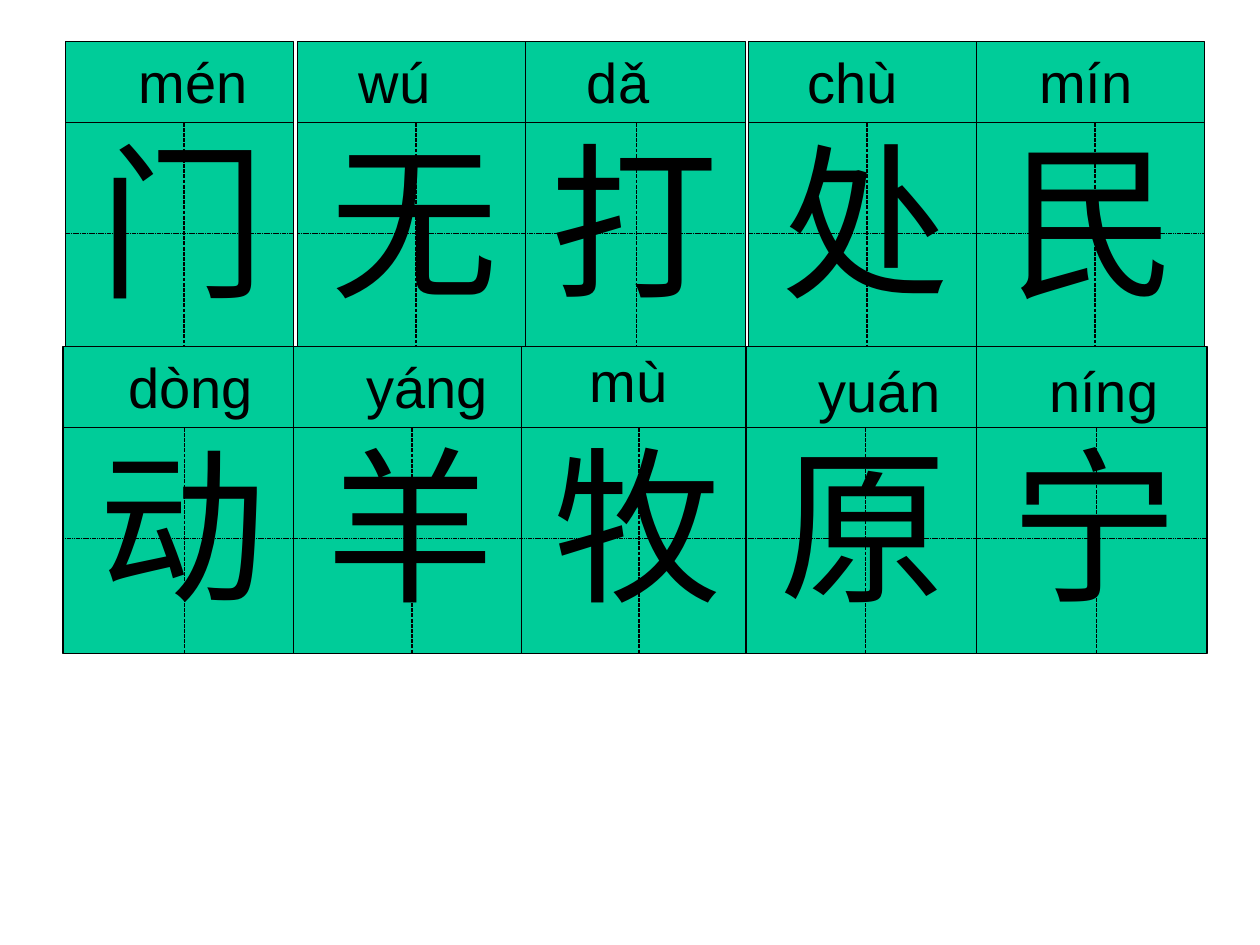
from dataclasses import dataclass

from lxml import etree
from pptx import Presentation
from pptx.dml.color import RGBColor
from pptx.enum.dml import MSO_LINE
from pptx.enum.shapes import MSO_CONNECTOR, MSO_SHAPE
from pptx.enum.text import MSO_AUTO_SIZE
from pptx.oxml.ns import qn
from pptx.util import Inches, Pt

GREEN = RGBColor(0x00, 0xCC, 0x99)
BLACK = RGBColor(0x00, 0x00, 0x00)
RECTANGLE = MSO_SHAPE.RECTANGLE
STRAIGHT = MSO_CONNECTOR.STRAIGHT
DASH = MSO_LINE.SQUARE_DOT
FIT_TEXT = MSO_AUTO_SIZE.SHAPE_TO_FIT_TEXT
BLANK_LAYOUT = 6

# All positions and sizes are percentages of the slide's width or height.
ROW_TOPS = (4.4, 36.67)
CARD_HEIGHT = 32.5
PINYIN_HEIGHT = 8.6
MIDDLE = 20.27
CENTRE_SHARE = 0.52
CHARACTER_TOP = 7.33
CHARACTER_WIDTH = 15.3
CHARACTER_HEIGHT = 22.7
DRAWING_ORDER = (0, 2, 3, 4, 1)


@dataclass
class Card:
    character: str
    left: float
    width: float
    pinyin: str
    pinyin_left: float
    pinyin_width: float
    pinyin_drop: float = 0


ROWS = (
    (
        Card("门", 5.2, 18.1, "mén", 10, 11),
        Card("无", 23.6, 18.1, "wú", 27.5, 11),
        Card("打", 41.1, 18.1, "dǎ", 45.6, 11),
        Card("处", 59.4, 18.1, "chù", 63.1, 11),
        Card("民", 77.5, 18.1, "mín", 81.5, 13.5),
    ),
    (
        Card("动", 5, 18.6, "dòng", 9.2, 14.2),
        Card("羊", 23.3, 18.1, "yáng", 28.1, 15.2),
        Card("牧", 41.3, 18.1, "mù", 45.8, 11, -0.67),
        Card("原", 59.2, 18.3, "yuán", 64, 13.5, 0.4),
        Card("宁", 77.5, 18.3, "níng", 82.3, 11, 0.4),
    ),
)


class CardSheet:
    def __init__(self, deck, font_name):
        self.deck = deck
        self.font_name = font_name
        self.slide = deck.slides.add_slide(deck.slide_layouts[BLANK_LAYOUT])

    def across(self, percent):
        return round(self.deck.slide_width * percent / 100)

    def down(self, percent):
        return round(self.deck.slide_height * percent / 100)

    def frame(self, group, left, top, width, height):
        box = group.shapes.add_shape(
            RECTANGLE, self.across(left), self.down(top), self.across(width), self.down(height)
        )
        box.shadow.inherit = False
        box.fill.solid()
        box.fill.fore_color.rgb = GREEN
        box.line.color.rgb = BLACK
        box.line.width = Pt(0.75)

    def rule(self, group, start, end, weight=0.75, dash=None):
        line = group.shapes.add_connector(
            STRAIGHT,
            self.across(start[0]), self.down(start[1]),
            self.across(end[0]), self.down(end[1]),
        )
        line.line.color.rgb = BLACK
        line.line.width = Pt(weight)
        if dash:
            line.line.dash_style = dash
        etree.SubElement(line._element.spPr, qn("a:effectLst"))

    def text(self, words, left, top, width, height, size):
        box = self.slide.shapes.add_textbox(
            self.across(left), self.down(top), self.across(width), self.down(height)
        )
        box.text_frame.word_wrap = True
        box.text_frame.auto_size = FIT_TEXT
        span = box.text_frame.paragraphs[0].add_run()
        span.text = words
        span.font.name = self.font_name
        span.font.size = Pt(size)
        span.font.color.rgb = BLACK

    def card(self, card, top):
        """Draw the ruled writing square and its character."""
        group = self.slide.shapes.add_group_shape()
        right = card.left + card.width
        bottom = top + CARD_HEIGHT
        header = top + PINYIN_HEIGHT
        middle = top + MIDDLE
        centre = card.left + card.width * CENTRE_SHARE
        self.frame(group, card.left, top, card.width, CARD_HEIGHT)
        self.rule(group, (card.left, header), (right, header))
        self.rule(group, (card.left, middle), (right, middle), 0.25, DASH)
        self.rule(group, (centre, header), (centre, bottom), dash=DASH)
        left = centre - CHARACTER_WIDTH / 2 - 0.15
        self.text(card.character, left, top + CHARACTER_TOP,
                  CHARACTER_WIDTH, CHARACTER_HEIGHT, 96)

    def pinyin(self, card, top):
        self.text(card.pinyin, card.pinyin_left, top + card.pinyin_drop,
                  card.pinyin_width, PINYIN_HEIGHT, 32)


def main():
    deck = Presentation()
    deck.slide_width = Inches(10)
    deck.slide_height = Inches(7.5)
    sheet = CardSheet(deck, "Arial")
    for top, cards in zip(ROW_TOPS, ROWS):
        for column in DRAWING_ORDER:
            sheet.card(cards[column], top)
    for top, cards in zip(ROW_TOPS, ROWS):
        for card in cards:
            sheet.pinyin(card, top)
    deck.save("out.pptx")


if __name__ == "__main__":
    main()
